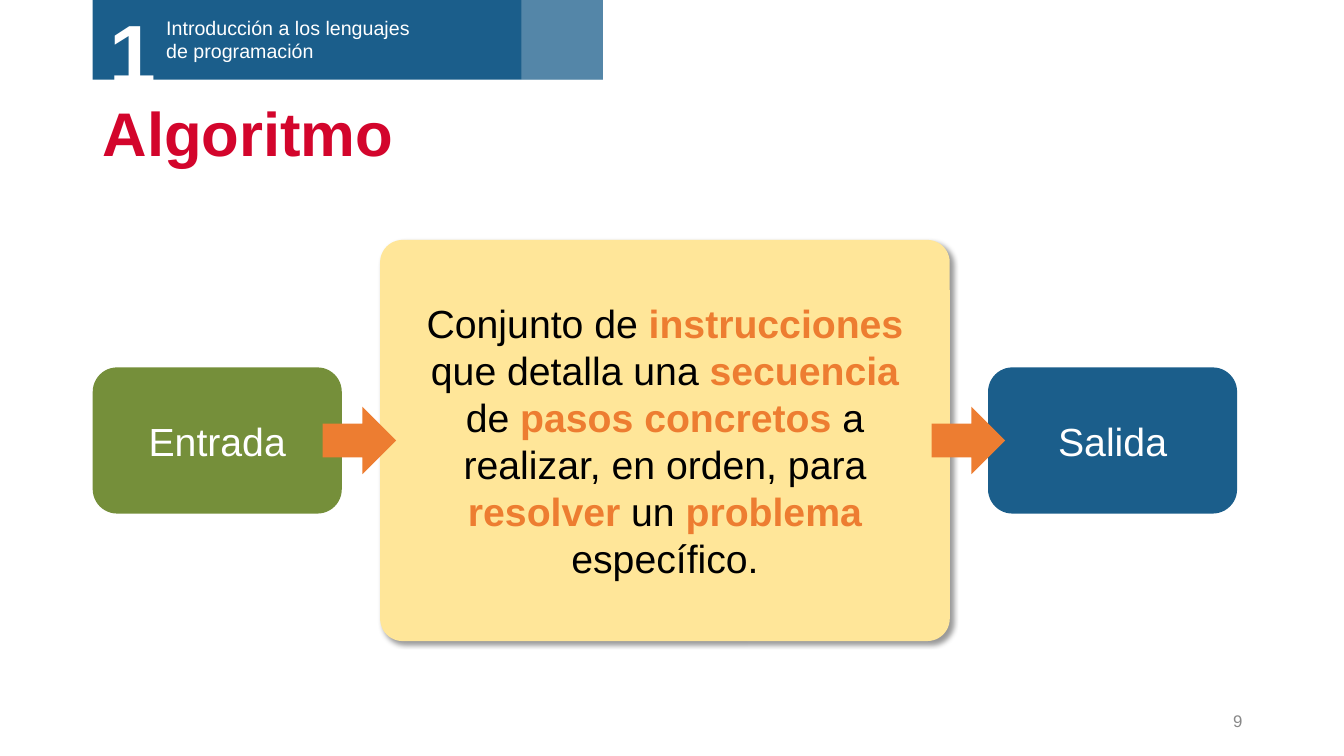
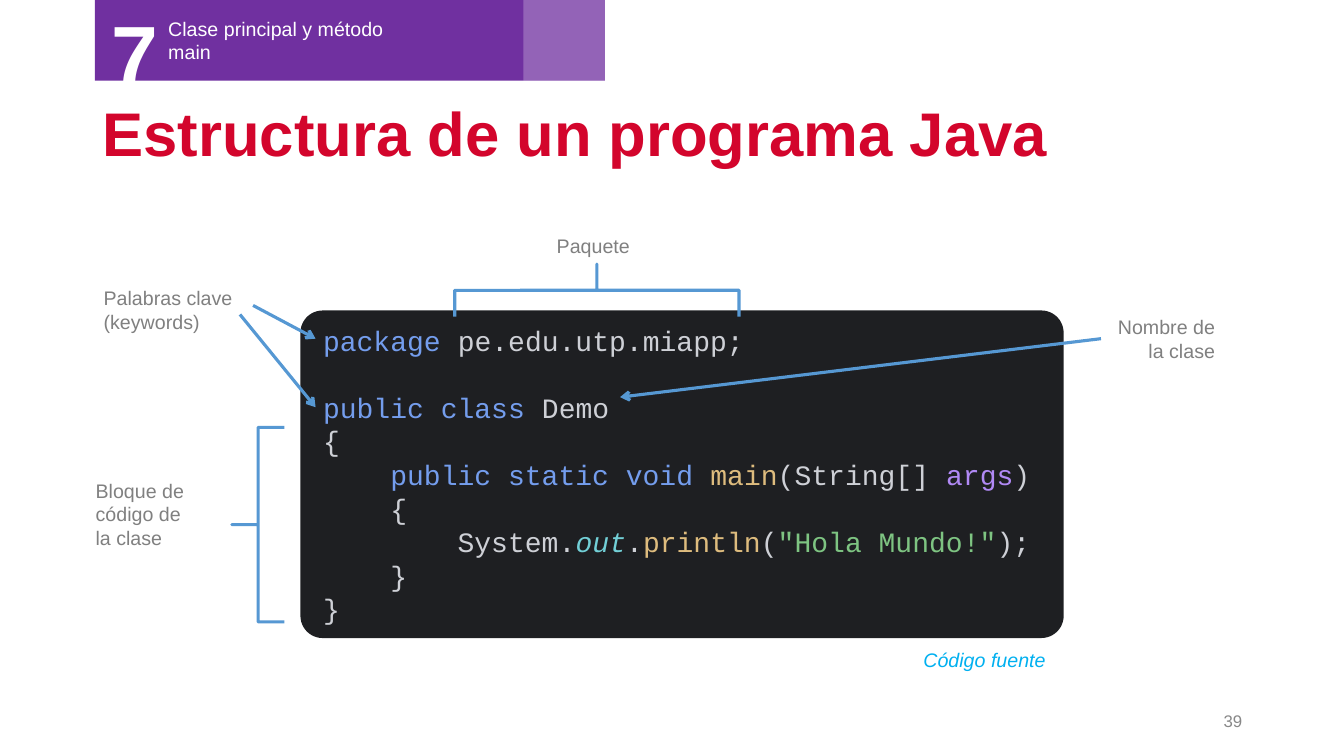
from lxml import etree
from pptx import Presentation, util as u
from pptx.dml.color import RGBColor
from pptx.enum import shapes, text
from pptx.oxml.ns import qn

C = {
    "red": "D3052C", "grey": "888888", "label": "808080", "white": "FFFFFF", "black": "000000",
    "blue": "1B5E8B", "purple": "7030A0", "green": "758F3A", "cream": "FFE699", "orange": "ED7D31",
    "line": "5698D3", "cyan": "00B0F0", "editor": "1E1F22", "keyword": "749DED", "plain": "CED0D6",
    "method": "DEBC7E", "arg": "B189F5", "field": "72CFD6", "string": "7EC482",
}
S, A = shapes.MSO_SHAPE, text.PP_ALIGN
TOP, MIDDLE = text.MSO_ANCHOR.TOP, text.MSO_ANCHOR.MIDDLE

prs = Presentation()
prs.slide_width, prs.slide_height = u.Inches(13.33), u.Inches(7.5)
COLS, ROWS = 160, 90
CELL = prs.slide_height / ROWS


def grid(*cells):
    """Turn columns and rows of the grid into lengths."""
    return [round(c * CELL) for c in cells]


def block(s, at, lines=(), kind=None, fill=None, size=14, color="white", style="",
          align=A.LEFT, anchor=TOP, font="Arial", inset=1.2, spacing=None):
    """Add a text box, or a preset shape; a line is a list of (text, colour, style) runs."""
    if kind is None:
        sp = s.shapes.add_textbox(*grid(*at))
    else:
        sp = s.shapes.add_shape(kind, *grid(*at))
        sp.shadow.inherit = False
        sp.line.fill.background()
        if fill:
            sp.fill.solid()
            sp.fill.fore_color.rgb = RGBColor.from_string(C[fill])
        else:
            sp.fill.background()
    tf = sp.text_frame
    tf.word_wrap, tf.vertical_anchor = True, anchor
    tf.margin_left = tf.margin_right = grid(inset)[0]
    for i, line in enumerate(lines):
        p = tf.paragraphs[0] if i == 0 else tf.add_paragraph()
        p.alignment, p.line_spacing = align, spacing or u.Pt(size * 1.2)
        for run in [(line,)] if isinstance(line, str) else line:
            words, tint, look = (*run, None, None)[:3]
            r = p.add_run()
            r.text = words
            r.font.name, r.font.size = font, u.Pt(size)
            r.font.color.rgb = RGBColor.from_string(C[tint or color])
            look = style if look is None else look
            r.font.bold, r.font.italic = "b" in look, "i" in look
    return sp


# Shared parts: title, slide number and section band
pages = [
    ("Algoritmo", "9", "1", "Introducción a los lenguajes de programación", "blue", 11.04, -0.12),
    ("Estructura de un programa Java", "39", "7", "Clase principal y método main", "purple", 11.28, 0),
]
slides = []
for title, page, number, section, band, x, y in pages:
    s = prs.slides.add_slide(prs.slide_layouts[6])
    block(s, (11.04, 11.16, 138, 10.32), [title], size=44, color="red", style="b",
          anchor=MIDDLE, spacing=0.9)
    block(s, (113.04, 83.4, 36, 4.8), [page], size=12, color="grey", align=A.RIGHT, anchor=MIDDLE)
    block(s, (x, y, 60.72, 9.6), kind=S.RECTANGLE, fill=band)
    block(s, (x + 7.56, y + 1.4, 33, 6.84), [section])
    block(s, (x + 0.84, y - 0.4, 13.44, 13.32), [number], size=60, style="b")
    tab = block(s, (x + 51, y, 9.72, 9.6), kind=S.RECTANGLE, fill="white")
    tint = tab.fill._xPr.find(qn("a:solidFill"))[0]
    etree.SubElement(tint, qn("a:alpha")).set("val", "25000")
    slides.append(s)

# Slide 1: input, algorithm, output
s = slides[0]
mid = 52.44
definition = [
    ("Conjunto de ",), ("instrucciones", "orange", "b"), (" que detalla una ",),
    ("secuencia", "orange", "b"), (" de ",), ("pasos concretos", "orange", "b"),
    (" a realizar, en orden, para ",), ("resolver", "orange", "b"), (" un ",),
    ("problema", "orange", "b"), (" específico.",),
]
card = block(s, (45.24, mid - 23.88, 67.8, 47.76), [definition], S.ROUNDED_RECTANGLE, "cream", 28,
             "black", align=A.CENTER, anchor=MIDDLE, inset=2.88)
card.adjustments[0] = 0.056
effects = card._element.spPr.find(qn("a:effectLst"))
shadow = etree.SubElement(effects, qn("a:outerShdw"), blurRad=str(u.Pt(4)), dist=str(u.Pt(3)),
                          dir="2700000", algn="tl", rotWithShape="0")
tint = etree.SubElement(shadow, qn("a:srgbClr"), val=C["black"])
etree.SubElement(tint, qn("a:alpha"), val="40000")

for name, fill, x in [("Entrada", "green", 11.04), ("Salida", "blue", 117.6)]:
    block(s, (x, mid - 8.7, 29.64, 17.4), [name], S.ROUNDED_RECTANGLE, fill, 28,
          align=A.CENTER, anchor=MIDDLE)
for x in (38.4, 110.88):
    block(s, (x, mid - 4.02, 8.76, 8.04), kind=S.RIGHT_ARROW, fill="orange")

# Slide 2: source code
s = slides[1]
code = [
    [("package ", "keyword"), ("pe.edu.utp.miapp;",)],
    [("public class ", "keyword"), ("Demo",)],
    "{",
    [("    public static void ", "keyword"), ("main", "method"), ("(String[] ",), ("args", "arg"), (")",)],
    "    {",
    [("        System.",), ("out", "field", "i"), (".",), ("println", "method"), ("(",),
     ('"Hola Mundo!"', "string"), (");",)],
    "    }",
    "}",
]
editor = block(s, (35.76, 36.96, 90.84, 39), code, S.ROUNDED_RECTANGLE, "editor", 20, "plain",
               anchor=MIDDLE, font="Courier New", inset=1.92)
editor.adjustments[0] = 0.068
editor.text_frame.paragraphs[1].space_before = u.Pt(24)

# Labels around the code
labels = [
    ((11.16, 33.48, 21.12, 6.84), ["Palabras clave (keywords)"], A.LEFT, "label", ""),
    ((54.72, 27.24, 31.8, 4.08), ["Paquete"], A.CENTER, "label", ""),
    ((130.68, 36.96, 15.12, 6.84), ["Nombre de la clase"], A.RIGHT, "label", ""),
    ((10.2, 56.4, 19.32, 9.72), ["Bloque de código de", "la clase"], A.LEFT, "label", ""),
    ((107.52, 76.56, 19.32, 4.08), ["Código fuente"], A.CENTER, "cyan", "i"),
]
for at, lines, align, color, style in labels:
    block(s, at, lines, color=color, style=style, align=align)

# Square brackets
for at, turn in [((27.6, 50.88, 6.24, 23.16), 0), ((67.92, 17.64, 6.24, 33.84), 90)]:
    sp = block(s, at, kind=S.LEFT_BRACE)
    sp.adjustments[0], sp.adjustments[1] = 0, 0.5
    sp.rotation = turn
    sp.line.color.rgb = RGBColor.from_string(C["line"])
    sp.line.width = u.Pt(2.25)

# Arrows from labels to code
for ends in [(30.12, 36.36, 37.56, 40.32), (28.56, 37.44, 37.56, 48.48), (131.04, 40.32, 73.8, 47.28)]:
    cn = s.shapes.add_connector(shapes.MSO_CONNECTOR.STRAIGHT, *grid(*ends))
    cn.line.color.rgb = RGBColor.from_string(C["line"])
    cn.line.width = u.Pt(2.25)
    etree.SubElement(cn.line._get_or_add_ln(), qn("a:tailEnd"), type="arrow")
    etree.SubElement(cn._element.spPr, qn("a:effectLst"))

prs.save("out.pptx")
